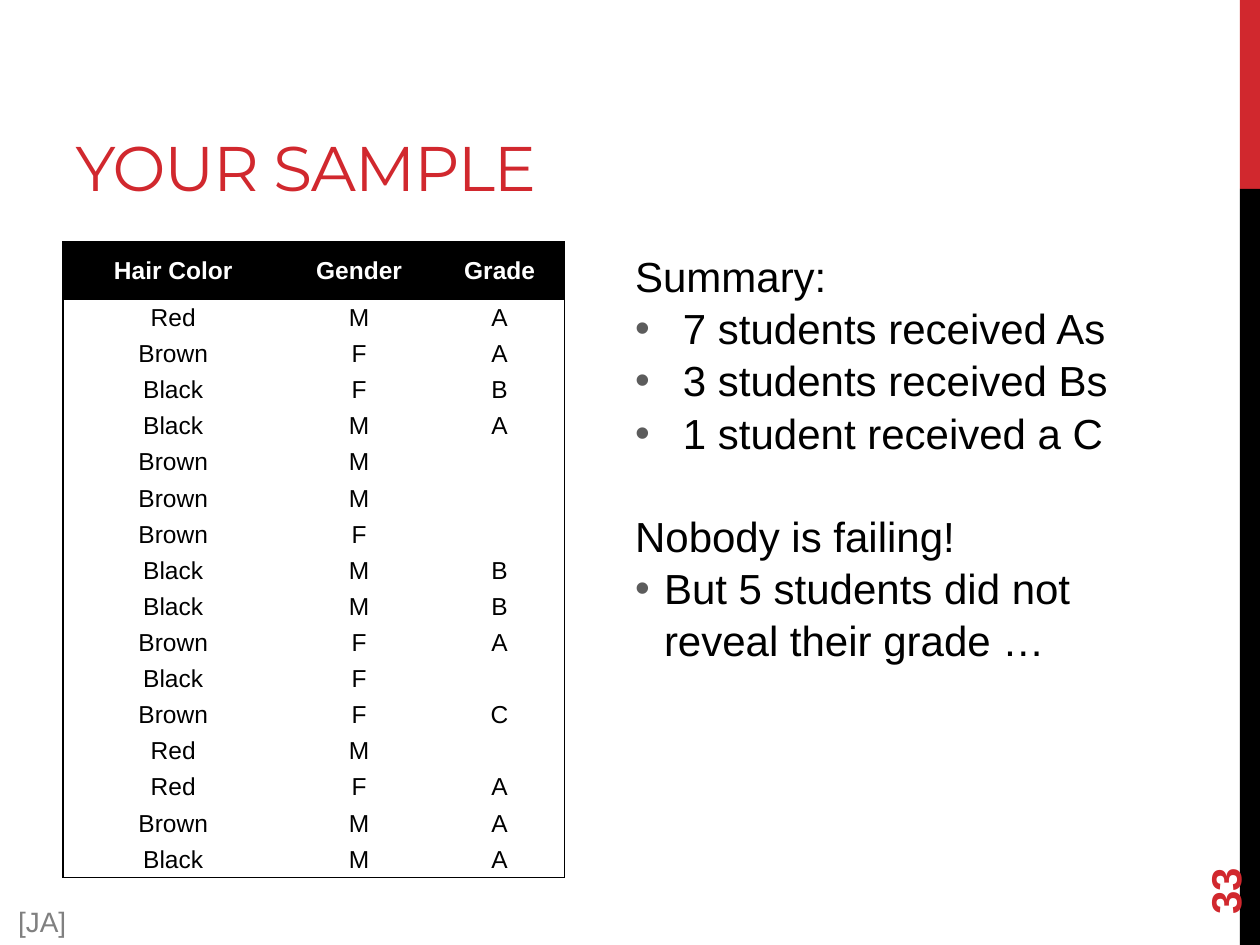
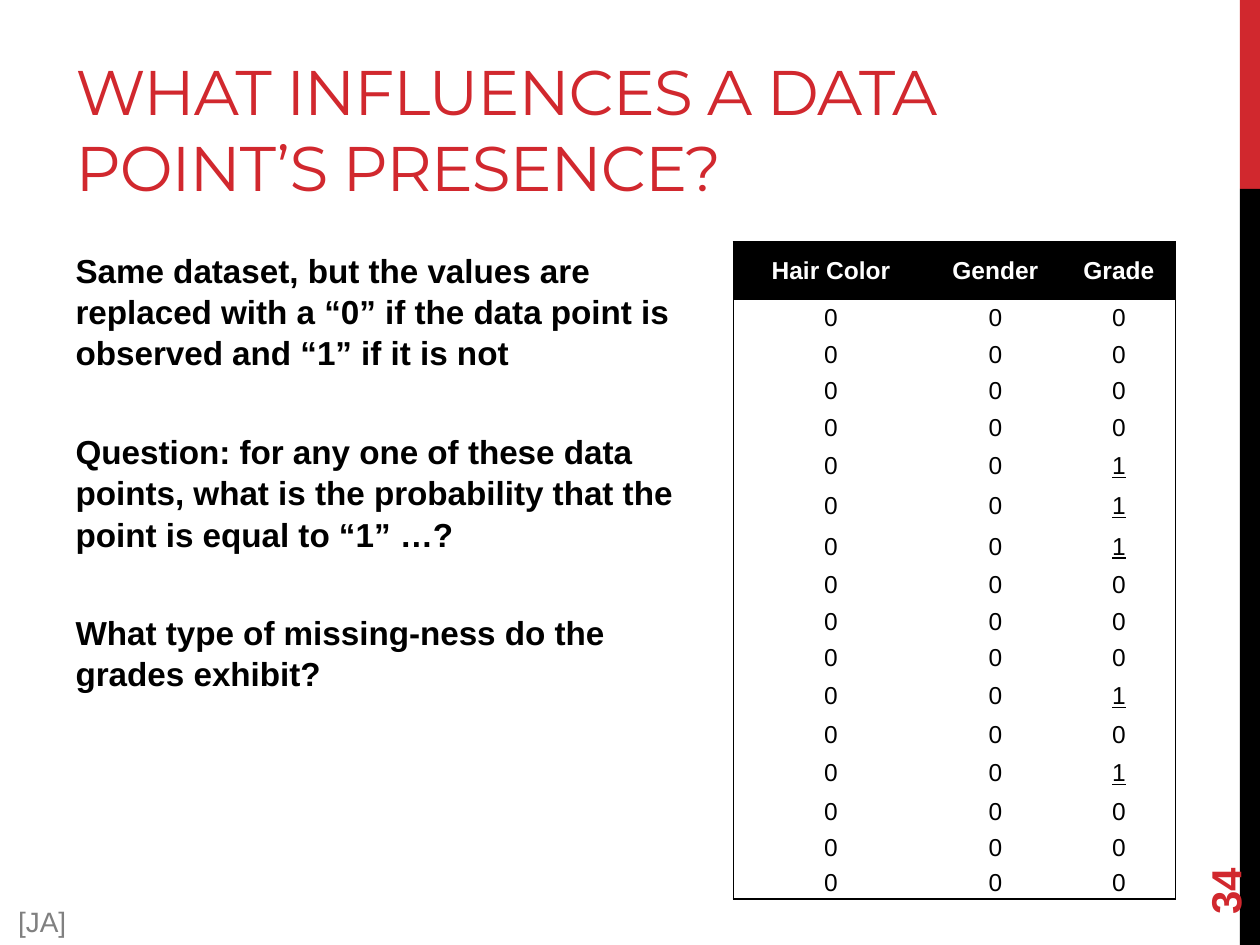
"""Build two slides about missing grades in a sample of students."""
from dataclasses import dataclass
from typing import Any

import lxml.etree
import pptx
import pptx.dml.color
import pptx.enum.shapes
import pptx.enum.text
import pptx.oxml.ns
import pptx.util

ANCHOR = pptx.enum.text.MSO_ANCHOR
ALIGN = pptx.enum.text.PP_ALIGN
AUTO = pptx.enum.text.MSO_AUTO_SIZE
qn = pptx.oxml.ns.qn


@dataclass(frozen=True)
class Theme:
    red: str = "D1282E"
    black: str = "000000"
    white: str = "FFFFFF"
    gray: str = "808080"
    bullet: str = "5C5C5C"
    heading: str = "Montserrat"
    text: str = "Arial"
    title_size: float = 36
    list_size: float = 24
    question_size: float = 19
    credit_size: float = 16
    table_size: float = 14
    line_spacing: float = 1.04


@dataclass(frozen=True)
class Box:
    """A place on a grid of 100 columns and 75 rows."""
    col: float
    row: float
    cols: float
    rows: float


@dataclass(frozen=True)
class Para:
    text: str
    before: float = 0
    indent: float = 0


@dataclass(frozen=True)
class Page:
    number: int
    title: str
    title_box: Box
    paras: list[Para]
    body_box: Box
    body_font: dict[str, Any]
    records: list[tuple[str, ...]]
    table_at: tuple[float, float]
    col_widths: tuple[float, ...]
    row_heights: list[float]


T = Theme()
WIDTH, HEIGHT = pptx.util.Inches(10), pptx.util.Inches(7.5)
COL, ROW = WIDTH / 100, HEIGHT / 75
BANDS = ((Box(98.4, 0, 1.6, 15), T.red), (Box(98.4, 15, 1.6, 60), T.black))
NUMBER_BOX = Box(90, 64.4, 14.4, 4)
CREDIT_BOX = Box(0, 71.3, 6.7, 3.7)
HEADER = ("Hair Color", "Gender", "Grade")
HEADER_ROWS = 4.6
STUDENTS = [tuple(s.split(",")) for s in (
    "Red,M,A", "Brown,F,A", "Black,F,B", "Black,M,A", "Brown,M,", "Brown,M,",
    "Brown,F,", "Black,M,B", "Black,M,B", "Brown,F,A", "Black,F,", "Brown,F,C",
    "Red,M,", "Red,F,A", "Brown,M,A", "Black,M,A")]
MISSING = [tuple("0" if v else "1" for v in s) for s in STUDENTS]

PAGES = [
    Page(33, "YOUR SAMPLE", Box(5, 1.7, 63.3, 15),
         [Para("Summary:"),
          Para("7 students received As", indent=3.8),
          Para("3 students received Bs", indent=3.8),
          Para("1 student received a C", indent=3.8),
          Para("Nobody is failing!", before=28.8),
          Para("But 5 students did not reveal their grade …", indent=2.3)],
         Box(49.4, 19.2, 45.8, 33.3), {"size": T.list_size},
         STUDENTS, (5, 19.2), (17.5, 12, 10.3),
         [45.9 / len(STUDENTS)] * len(STUDENTS)),
    Page(34, "WHAT INFLUENCES A DATA POINT’S PRESENCE?", Box(5, 1.7, 84.1, 15),
         [Para("Same dataset, but the values are replaced with a “0” if the data "
               "point is observed and “1” if it is not"),
          Para("Question: for any one of these data points, what is the "
               "probability that the point is equal to “1” …?", before=32.4),
          Para("What type of missing-ness do the grades exhibit?", before=32.4)],
         Box(5, 19.2, 49.6, 47.8), {"size": T.question_size, "bold": True},
         MISSING, (58.2, 19.2), (15.5, 10.6, 9),
         [3.2 if "1" in m else 2.9 for m in MISSING[:-1]] + [2.6]),
]


def place(box: Box) -> tuple[int, int, int, int]:
    """Turn grid units into left, top, width and height."""
    return (round(box.col * COL), round(box.row * ROW),
            round(box.cols * COL), round(box.rows * ROW))


def rgb(color: str) -> pptx.dml.color.RGBColor:
    """Read a hexadecimal colour."""
    return pptx.dml.color.RGBColor.from_string(color)


def assign(obj: Any, **values: Any) -> None:
    """Set attributes from a dict of format values."""
    for name, value in values.items():
        setattr(obj, name, value)


def write(p: Any, text: str, size: float, color: str = T.black,
          name: str = T.text, **values: Any) -> Any:
    """Add one formatted run to a paragraph."""
    r = p.add_run()
    r.text = text
    assign(r.font, size=pptx.util.Pt(size), name=name, **values)
    r.font.color.rgb = rgb(color)
    return r


def move(sp: Any, box: Box) -> None:
    """Put a placeholder on the grid."""
    assign(sp, **dict(zip(("left", "top", "width", "height"), place(box))))


def set_bullet(p: Any, indent: float) -> None:
    """Give a paragraph a hanging bullet, or none without an indent."""
    pPr = p._p.get_or_add_pPr()
    pPr.set("marL", str(round(indent * COL)))
    pPr.set("indent", str(-round(indent * COL)))
    if indent:
        clr = lxml.etree.SubElement(pPr, qn("a:buClr"))
        lxml.etree.SubElement(clr, qn("a:srgbClr"), val=T.bullet)
        lxml.etree.SubElement(pPr, qn("a:buFont"), typeface=T.text)
        lxml.etree.SubElement(pPr, qn("a:buChar"), char="•")
    else:
        lxml.etree.SubElement(pPr, qn("a:buNone"))


def add_bands(s: Any) -> None:
    """Draw the bands on the right edge."""
    for box, color in BANDS:
        sp = s.shapes.add_shape(pptx.enum.shapes.MSO_SHAPE.RECTANGLE, *place(box))
        sp.shadow.inherit = False
        sp.fill.solid()
        sp.fill.fore_color.rgb = rgb(color)
        sp.line.fill.background()


def add_title(s: Any, page: Page) -> None:
    """Fill the title placeholder."""
    sp = s.shapes.title
    move(sp, page.title_box)
    tf = sp.text_frame
    assign(tf, auto_size=AUTO.NONE, vertical_anchor=ANCHOR.BOTTOM, word_wrap=True)
    p = tf.paragraphs[0]
    p.alignment = ALIGN.LEFT
    r = write(p, page.title, T.title_size, T.red, T.heading)
    r.font._element.set("spc", "-60")


def add_body(s: Any, page: Page) -> None:
    """Fill the body placeholder."""
    sp = s.placeholders[1]
    move(sp, page.body_box)
    tf = sp.text_frame
    assign(tf, auto_size=AUTO.NONE, vertical_anchor=ANCHOR.TOP, word_wrap=True)
    for i, para in enumerate(page.paras):
        p = tf.add_paragraph() if i else tf.paragraphs[0]
        set_bullet(p, para.indent)
        assign(p, space_before=pptx.util.Pt(para.before),
               space_after=pptx.util.Pt(0), line_spacing=T.line_spacing)
        write(p, para.text, **page.body_font)


def set_borders(cell: Any, edges: dict[str, bool]) -> None:
    """Draw the outer edges of a cell and clear the others."""
    tcPr = cell._tc.get_or_add_tcPr()
    for side, drawn in edges.items():
        ln = lxml.etree.SubElement(tcPr, qn("a:ln" + side),
                                   w=str(pptx.util.Pt(1)))
        if drawn:
            fill = lxml.etree.SubElement(ln, qn("a:solidFill"))
            lxml.etree.SubElement(fill, qn("a:srgbClr"), val=T.black)
        else:
            lxml.etree.SubElement(ln, qn("a:noFill"))


def add_records(s: Any, page: Page) -> None:
    """Draw the table of students."""
    rows = [HEADER, *page.records]
    heights = [HEADER_ROWS, *page.row_heights]
    box = Box(*page.table_at, sum(page.col_widths), sum(heights))
    table = s.shapes.add_table(len(rows), len(HEADER), *place(box)).table
    assign(table, first_row=False, horz_banding=False)
    for column, width in zip(table.columns, page.col_widths):
        column.width = round(width * COL)
    for i, (values, height) in enumerate(zip(rows, heights)):
        table.rows[i].height = round(height * ROW)
        for j, value in enumerate(values):
            cell = table.cell(i, j)
            assign(cell, vertical_anchor=ANCHOR.MIDDLE, margin_left=0,
                   margin_right=0, margin_top=0, margin_bottom=0)
            set_borders(cell, {"L": j == 0, "R": j == len(HEADER) - 1,
                               "T": i == 0, "B": i == len(rows) - 1})
            cell.fill.solid()
            cell.fill.fore_color.rgb = rgb(T.white if i else T.black)
            p = cell.text_frame.paragraphs[0]
            p.alignment = ALIGN.CENTER
            write(p, value, T.table_size, T.black if i else T.white,
                  bold=i == 0, underline=value == "1")


def add_label(s: Any, box: Box, text: str, align: Any, anchor: Any,
              rotation: float = 0, **font: Any) -> None:
    """Add a small text box at the foot of the slide."""
    sp = s.shapes.add_textbox(*place(box))
    sp.rotation = rotation
    tf = sp.text_frame
    assign(tf, word_wrap=True, vertical_anchor=anchor)
    p = tf.paragraphs[0]
    p.alignment = align
    write(p, text, **font)


def build_page(prs: Any, page: Page) -> None:
    """Build one slide."""
    s = prs.slides.add_slide(prs.slide_layouts[1])
    add_bands(s)
    add_title(s, page)
    add_body(s, page)
    add_records(s, page)
    add_label(s, NUMBER_BOX, str(page.number), ALIGN.LEFT, ANCHOR.MIDDLE, 270,
              size=T.list_size, color=T.red, bold=True)
    add_label(s, CREDIT_BOX, "[JA]", ALIGN.CENTER, ANCHOR.TOP,
              size=T.credit_size, color=T.gray)


def main() -> None:
    """Build and save the presentation."""
    prs = pptx.Presentation()
    assign(prs, slide_width=WIDTH, slide_height=HEIGHT)
    for page in PAGES:
        build_page(prs, page)
    prs.save("out.pptx")


if __name__ == "__main__":
    main()
